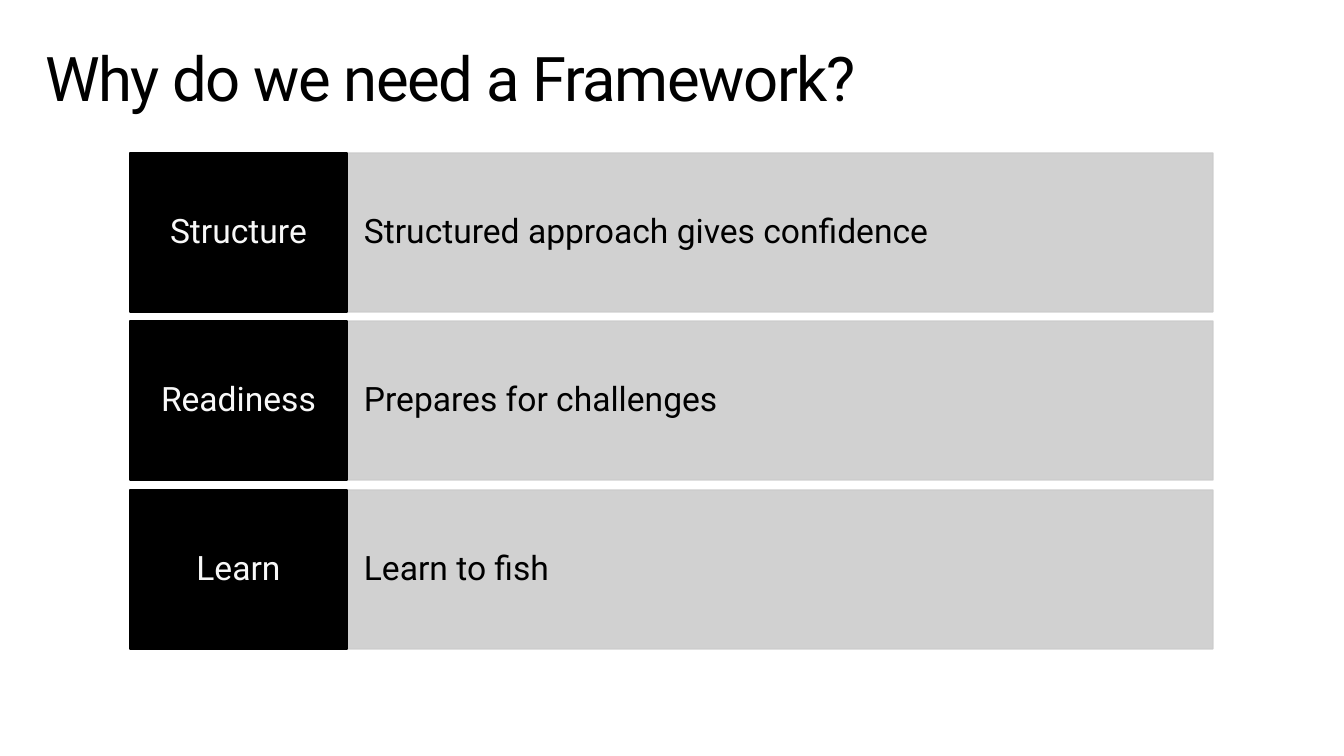
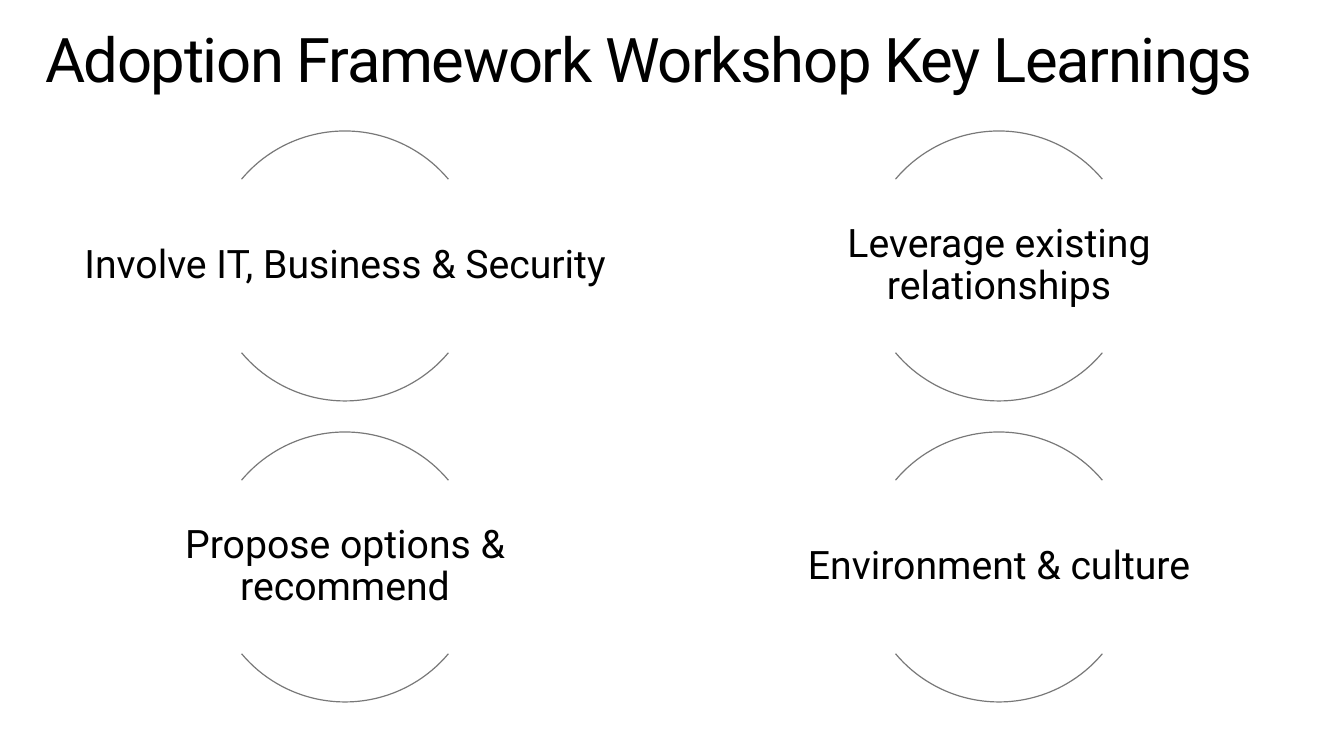
from itertools import product

from pptx import Presentation
from pptx.dml.color import RGBColor
from pptx.enum.shapes import MSO_SHAPE as Preset
from pptx.enum.text import MSO_ANCHOR as Anchor, MSO_AUTO_SIZE as AutoSize, PP_ALIGN as Align
from pptx.oxml.ns import qn
from pptx.util import Inches, Pt
from lxml.etree import SubElement

BLACK = RGBColor(0x00, 0x00, 0x00)
WHITE = RGBColor(0xF8, 0xF8, 0xF8)
PALE = RGBColor(0xCC, 0xCC, 0xCC)
GREY = RGBColor(0x78, 0x78, 0x78)

FONT = "Roboto"
LINE_WIDTH = 0.85
TITLE_ONLY = 5
SCALE = Inches(7.5) / 756

TOP_ARC = (132, 192)
BOTTOM_ARC = (24, 84)


def px(*lengths):
    return [round(length * SCALE) for length in lengths]


class SlideDeck:
    def __init__(self):
        self.deck = Presentation()
        self.deck.slide_width, self.deck.slide_height = px(1344, 756)
        self.page = None

    def add_page(self, title, title_height):
        self.page = self.deck.slides.add_slide(self.deck.slide_layouts[TITLE_ONLY])
        box = self.page.shapes.title
        box.left, box.top, box.width, box.height = px(29, 32, 1285, title_height)
        self.set_text(box, title, 44, BLACK, Align.LEFT, (16, 10))
        for span in box.text_frame.paragraphs[0].runs:
            span.font._element.set("spc", "-100")

    def set_text(self, box, text, size, color, align, inset):
        frame = box.text_frame
        frame.text = text
        frame.word_wrap = True
        frame.auto_size = AutoSize.NONE
        frame.vertical_anchor = Anchor.MIDDLE
        frame.margin_left, frame.margin_top = px(*inset)
        frame.margin_right, frame.margin_bottom = px(*inset)
        for para in frame.paragraphs:
            para.alignment = align
            para.line_spacing = 0.9
            for span in para.runs:
                span.font.name = FONT
                span.font.size = Pt(size)
                span.font.color.rgb = color

    def outline(self, shape, color):
        shape.shadow.inherit = False
        shape.line.color.rgb = color
        shape.line.width = Pt(LINE_WIDTH)

    def block(self, place, color, opacity=100):
        shape = self.page.shapes.add_shape(Preset.RECTANGLE, *px(*place))
        self.outline(shape, color)
        shape.fill.solid()
        shape.fill.fore_color.rgb = color
        if opacity < 100:
            for tint in shape._element.spPr.iter(qn("a:srgbClr")):
                SubElement(tint, qn("a:alpha"), val=str(opacity * 1000))
        return shape

    def row(self, top, label, detail):
        body = self.block((347, top, 866, 159), PALE, opacity=90)
        self.set_text(body, detail, 24, BLACK, Align.LEFT, (17, 40))
        head = self.block((130, top, 217, 159), BLACK)
        self.set_text(head, label, 24, WHITE, Align.CENTER, (11, 16))

    def arc(self, left, top, size, angles):
        shape = self.page.shapes.add_shape(Preset.ARC, *px(left, top, size, size))
        shape.adjustments[0], shape.adjustments[1] = angles
        shape.fill.background()
        self.outline(shape, GREY)

    def framed_text(self, left, top, text):
        for angles in (TOP_ARC, BOTTOM_ARC):
            self.arc(left, top, 270, angles)
        box = self.page.shapes.add_textbox(*px(left - 135, top + 49, 540, 172))
        self.set_text(box, text, 28, BLACK, Align.CENTER, (5, 2))

    def save(self):
        self.deck.save("out.pptx")


REASONS = [
    ("Structure", "Structured approach gives confidence"),
    ("Readiness", "Prepares for challenges"),
    ("Learn", "Learn to fish"),
]
LEARNINGS = [
    "Involve IT, Business & Security",
    "Leverage existing relationships",
    "Propose options & recommend",
    "Environment & culture",
]


def main():
    slides = SlideDeck()

    slides.add_page("Why do we need a Framework?", 99)
    for index, (label, detail) in enumerate(REASONS):
        slides.row(153 + index * 337 // 2, label, detail)

    slides.add_page("Adoption Framework Workshop Key Learnings", 61)
    for (row, column), text in zip(product(range(2), repeat=2), LEARNINGS):
        slides.framed_text(210 + column * 654, 131 + row * 301, text)

    slides.save()


if __name__ == "__main__":
    main()
